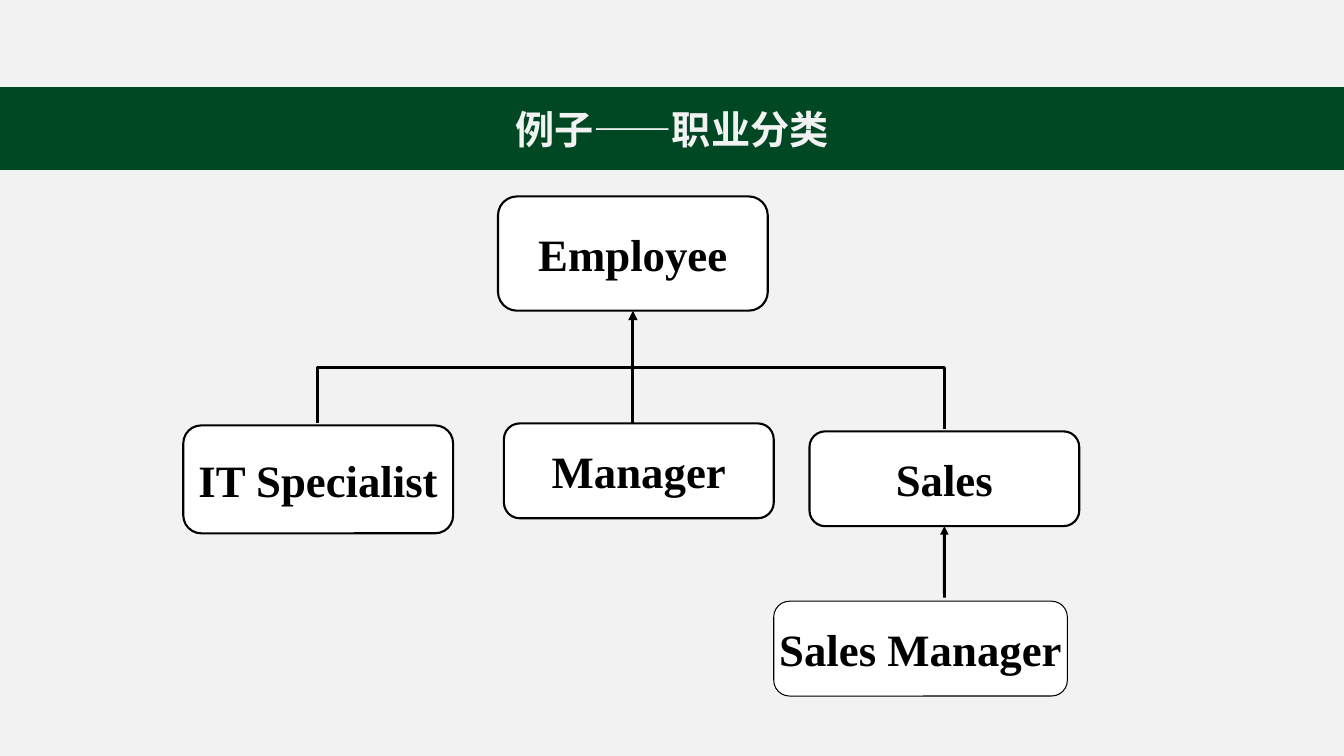
import pptx
import pptx.util
import pptx.dml.color
import pptx.enum.shapes
import pptx.enum.text
import pptx.oxml
import pptx.oxml.ns
from pptx.util import Cm

BACKGROUND = pptx.dml.color.RGBColor(0xF2, 0xF2, 0xF2)
GREEN = pptx.dml.color.RGBColor(0x00, 0x47, 0x23)
WHITE = pptx.dml.color.RGBColor(0xFF, 0xFF, 0xFF)
BLACK = pptx.dml.color.RGBColor(0x00, 0x00, 0x00)

SHAPES = pptx.enum.shapes.MSO_SHAPE
STRAIGHT = pptx.enum.shapes.MSO_CONNECTOR.STRAIGHT


def add_label(kind, text, box, fill, line, width, font, size, color):
    """Add a filled shape with one centred bold run."""
    label = slide.shapes.add_shape(kind, *[Cm(length) for length in box])
    label.shadow.inherit = False
    label.fill.solid()
    label.fill.fore_color.rgb = fill
    label.line.color.rgb = line
    label.line.width = pptx.util.Pt(width)
    frame = label.text_frame
    frame.word_wrap = False
    frame.vertical_anchor = pptx.enum.text.MSO_ANCHOR.MIDDLE
    frame.margin_left = frame.margin_right = 0
    frame.margin_top = frame.margin_bottom = 0
    paragraph = frame.paragraphs[0]
    paragraph.alignment = pptx.enum.text.PP_ALIGN.CENTER
    run = paragraph.add_run()
    run.text = text
    run.font.name = font
    run.font.size = pptx.util.Pt(size)
    run.font.bold = True
    run.font.color.rgb = color
    east_asian = pptx.oxml.parse_xml(
        f'<a:ea {pptx.oxml.ns.nsdecls("a")} typeface="{font}"/>')
    run.font._element.append(east_asian)
    return label


def add_arrow(x, bottom, parent, width):
    """Add an upward arrow that ends at the parent's bottom side."""
    arrow = slide.shapes.add_connector(STRAIGHT, Cm(x), Cm(bottom), Cm(x), Cm(bottom))
    arrow.end_connect(parent, 2)
    arrow.line.color.rgb = BLACK
    arrow.line.width = pptx.util.Pt(width)
    arrow.line._get_or_add_ln().append(pptx.oxml.parse_xml(
        f'<a:tailEnd {pptx.oxml.ns.nsdecls("a")} type="triangle"/>'))
    arrow._element.spPr.append(pptx.oxml.parse_xml(
        f'<a:effectLst {pptx.oxml.ns.nsdecls("a")}/>'))


presentation = pptx.Presentation()
presentation.slide_width = Cm(33.87)
presentation.slide_height = Cm(19.05)
slide = presentation.slides.add_slide(presentation.slide_layouts[6])
slide.background.fill.solid()
slide.background.fill.fore_color.rgb = BACKGROUND

# Title band
add_label(SHAPES.RECTANGLE, "例子——职业分类", (0, 2.21, 33.87, 2.06),
          GREEN, GREEN, 1, "Noto Sans CJK SC", 28, BACKGROUND)

# Branch from IT Specialist across to Sales
outline = slide.shapes.build_freeform(Cm(8.01), Cm(10.67))
outline.add_line_segments(
    [(Cm(8.01), Cm(9.27)), (Cm(23.8), Cm(9.27)), (Cm(23.8), Cm(10.82))], close=False)
branch = outline.convert_to_shape()
branch.shadow.inherit = False
branch.fill.background()
branch.line.color.rgb = BLACK
branch.line.width = pptx.util.Pt(2.25)

# Job classes: name, left, top, width, height, outline in points
jobs = [
    ("Employee", 12.55, 4.95, 6.8, 2.88, 1.5),
    ("IT Specialist", 4.62, 10.72, 6.8, 2.72, 1.5),
    ("Manager", 12.7, 10.67, 6.8, 2.39, 1.5),
    ("Sales", 20.4, 10.87, 6.8, 2.39, 1.5),
    ("Sales Manager", 19.5, 15.15, 7.4, 2.39, 0.75),
]
job_boxes = {}
for job, left, top, width, height, border in jobs:
    job_boxes[job] = add_label(
        SHAPES.ROUNDED_RECTANGLE, job, (left, top, width, height),
        WHITE, BLACK, border, "Times New Roman", 32, BLACK)

# Inheritance arrows
add_arrow(15.95, 10.67, job_boxes["Employee"], 2.25)
add_arrow(23.8, 15.06, job_boxes["Sales"], 2)

presentation.save("out.pptx")
